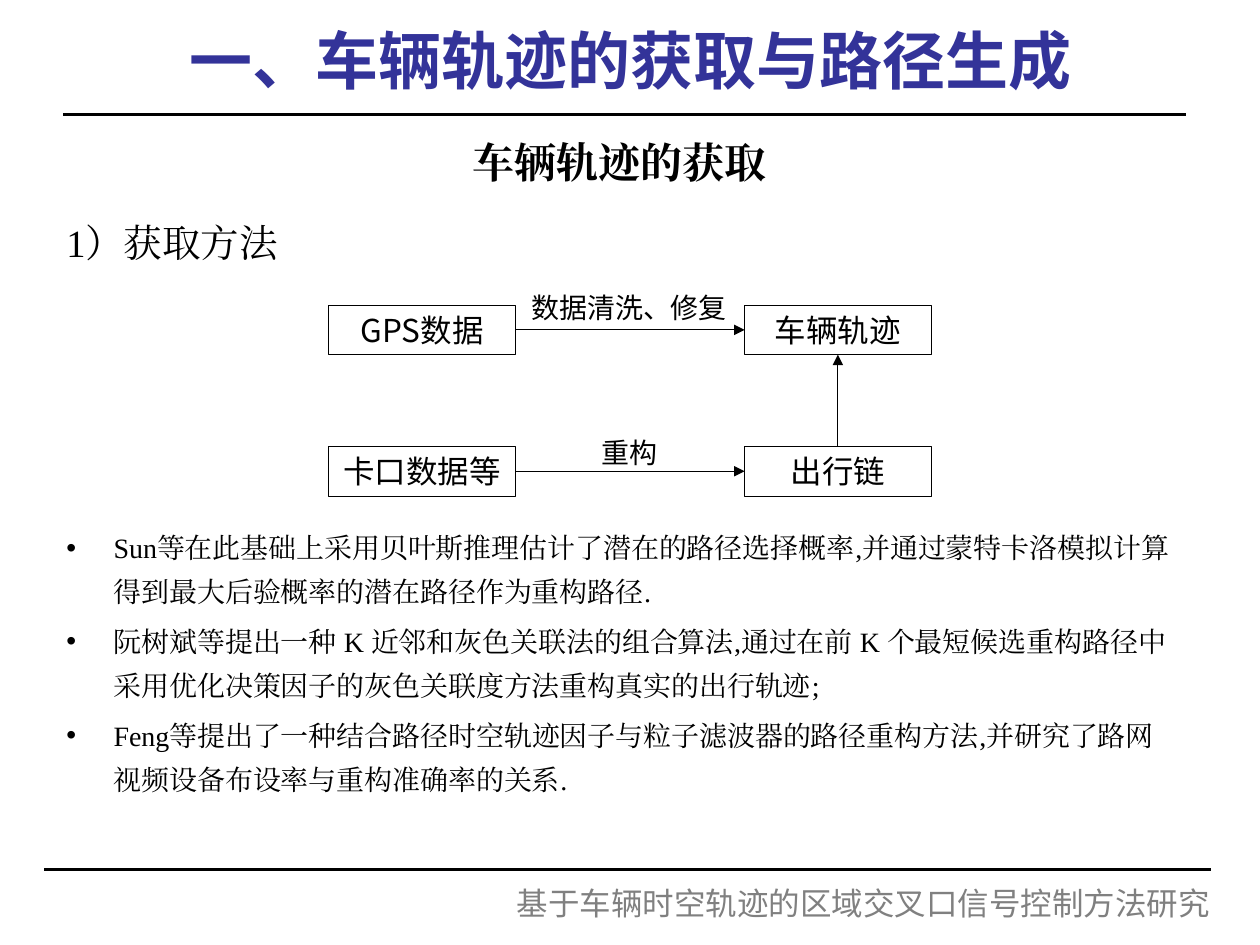
from lxml import etree
from pptx import Presentation
from pptx import util as u
from pptx.dml.color import RGBColor
from pptx.enum import shapes, text
from pptx.oxml.ns import qn

SANS, SERIF = "Noto Sans CJK SC", "Times New Roman"
CENTER, JUSTIFY, LEFT = text.PP_ALIGN.CENTER, text.PP_ALIGN.JUSTIFY, text.PP_ALIGN.LEFT
MIDDLE = text.MSO_ANCHOR.MIDDLE


def color(value):
    return RGBColor.from_string(value)


class Deck:
    ink = "000000"
    thin = 0.5

    def __init__(self, width, height):
        self.prs = Presentation()
        self.prs.slide_width, self.prs.slide_height = u.Cm(width), u.Cm(height)

    def add_slide(self):
        self.s = self.prs.slides.add_slide(self.prs.slide_layouts[5])

    def format(self, p, size, font=SANS, bold=False, ink=ink, align=CENTER):
        p.alignment = align
        f = p.font
        f.size, f.bold, f.name = u.Pt(size), bold, font
        f.color.rgb = color(ink)
        # East Asian characters follow the same font
        props = p._p.pPr.find(qn("a:defRPr"))
        etree.SubElement(props, qn("a:ea")).set("typeface", font)

    def fill_frame(self, sp, words, size, **style):
        """Put one centred line into a shape without insets."""
        tf = sp.text_frame
        tf.word_wrap = True
        tf.vertical_anchor = MIDDLE
        tf.margin_left = tf.margin_right = tf.margin_top = tf.margin_bottom = 0
        tf.text = words
        self.format(tf.paragraphs[0], size, **style)

    def title(self, words, left, top, width, height):
        sp = self.s.shapes.title
        sp.left, sp.top, sp.width, sp.height = map(u.Cm, (left, top, width, height))
        self.fill_frame(sp, words, 36, font="Arial", bold=True, ink="333399")

    def label(self, words, left, top, width, height, size=16, **style):
        sp = self.s.shapes.add_textbox(*map(u.Cm, (left, top, width, height)))
        self.fill_frame(sp, words, size, **style)

    def box(self, words, left, top, width, height):
        sp = self.s.shapes.add_shape(shapes.MSO_SHAPE.RECTANGLE,
                                     *map(u.Cm, (left, top, width, height)))
        sp.shadow.inherit = False
        sp.fill.background()
        sp.line.color.rgb = color(self.ink)
        sp.line.width = u.Pt(self.thin)
        self.fill_frame(sp, words, 18)

    def line(self, x1, y1, x2, y2, weight=thin, arrow=False):
        c = self.s.shapes.add_connector(shapes.MSO_CONNECTOR.STRAIGHT,
                                        *map(u.Cm, (x1, y1, x2, y2)))
        c.line.color.rgb = color(self.ink)
        c.line.width = u.Pt(weight)
        if arrow:
            etree.SubElement(c.line._get_or_add_ln(), qn("a:tailEnd")).set("type", "triangle")
        etree.SubElement(c._element.spPr, qn("a:effectLst"))

    def body(self, heading, subheading, bullets, gap, left, top, width, height):
        """Heading, subheading and bullets, with a gap above the bullets for the diagram."""
        tf = self.s.shapes.add_textbox(*map(u.Cm, (left, top, width, height))).text_frame
        tf.word_wrap = True
        tf.text = "\n".join([heading, subheading, *bullets])
        first, second, *rest = tf.paragraphs
        first.line_spacing = u.Pt(43)
        self.format(first, 24, font=SERIF, bold=True)
        second.line_spacing, second.space_before = u.Pt(40), u.Pt(4.4)
        self.format(second, 22, font=SERIF, align=JUSTIFY)
        for i, p in enumerate(rest):
            p.line_spacing = u.Pt(25.2)
            p.space_before = u.Pt(3.2 if i else gap)
            props = p._p.get_or_add_pPr()
            props.set("marL", str(u.Cm(0.95)))
            props.set("indent", str(-u.Cm(0.95)))
            etree.SubElement(props, qn("a:buFont")).set("typeface", "Arial")
            etree.SubElement(props, qn("a:buChar")).set("char", "•")
            self.format(p, 16, font=SERIF, align=LEFT)


def main():
    deck = Deck(25.4, 19.05)
    deck.add_slide()
    deck.line(1.27, 2.31, 23.9, 2.31, weight=1.5)
    deck.line(0.89, 17.53, 24.41, 17.53, weight=1.5)
    deck.label("基于车辆时空轨迹的区域交叉口信号控制方法研究",
               9.5, 17.7, 15.8, 1.02, size=18, ink="808080")
    deck.body("车辆轨迹的获取", "1）获取方法", [
        "Sun等在此基础上采用贝叶斯推理估计了潜在的路径选择概率,"
        "并通过蒙特卡洛模拟计算得到最大后验概率的潜在路径作为重构路径.",
        "阮树斌等提出一种 K 近邻和灰色关联法的组合算法,"
        "通过在前 K 个最短候选重构路径中采用优化决策因子的灰色关联度方法重构真实的出行轨迹;",
        "Feng等提出了一种结合路径时空轨迹因子与粒子滤波器的路径重构方法,"
        "并研究了路网视频设备布设率与重构准确率的关系.",
    ], 146, 1.09, 2.13, 22.81, 15.39)
    deck.title("一、车辆轨迹的获取与路径生成", 1.4, -0.05, 22.6, 2.5)

    box_w, box_h = 3.76, 1
    source_x, result_x = 6.63, 15.01
    top_y, bottom_y = 6.15, 9
    rows = [(top_y, "GPS数据", "数据清洗、修复", "车辆轨迹", 0.46),
            (bottom_y, "卡口数据等", "重构", "出行链", 0.39)]
    for y, source, step, result, lift in rows:
        deck.box(source, source_x, y, box_w, box_h)
        deck.box(result, result_x, y, box_w, box_h)
        deck.label(step, 10.03, y - lift, 5.31, box_h)
        deck.line(source_x + box_w, y + box_h / 2, result_x, y + box_h / 2, arrow=True)
    middle = result_x + box_w / 2
    deck.line(middle, bottom_y, middle, top_y + box_h, arrow=True)

    deck.prs.save("out.pptx")


if __name__ == "__main__":
    main()
